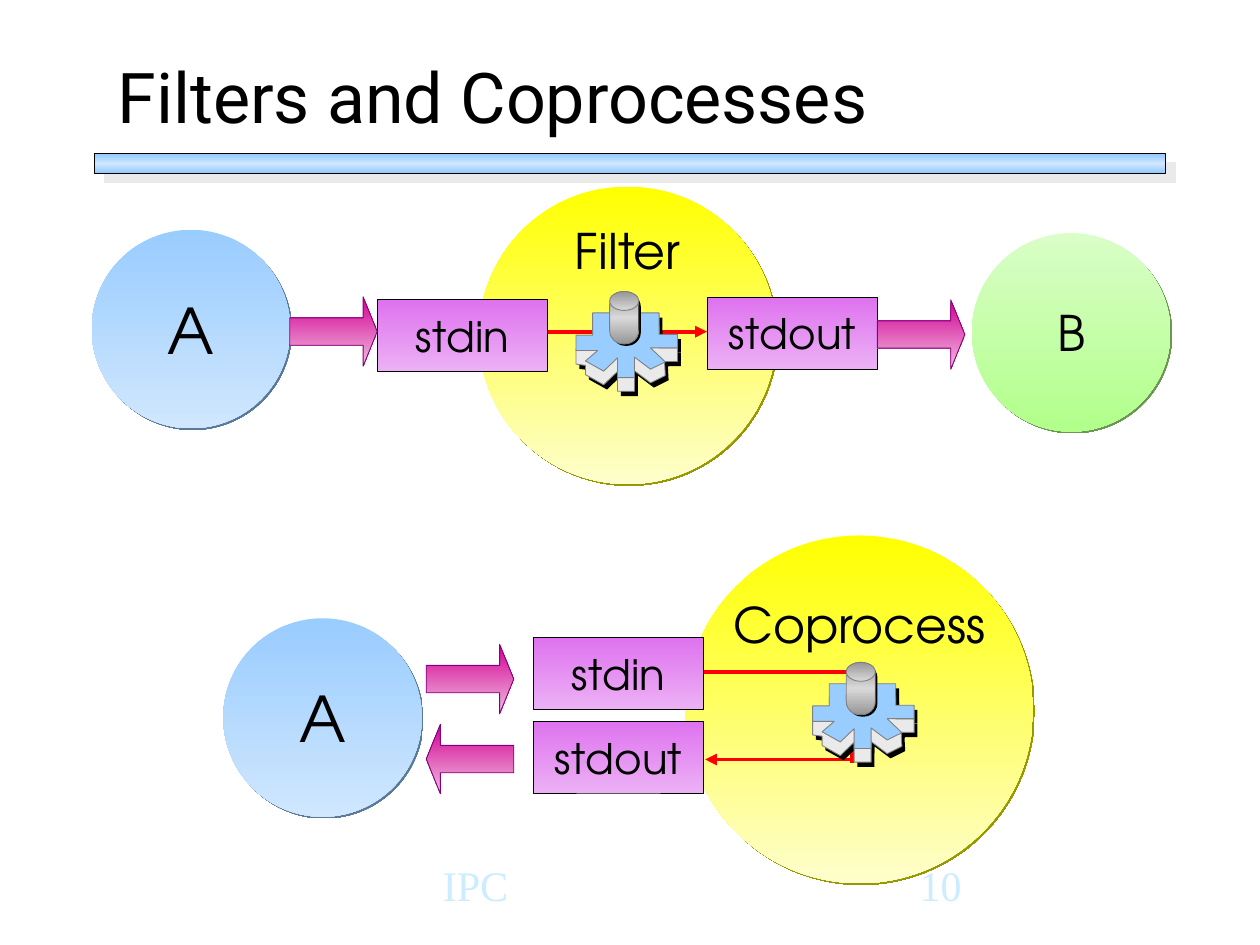
import pptx
import pptx.util
import pptx.dml.color
import pptx.enum.shapes
import pptx.enum.text
import pptx.oxml
import pptx.oxml.ns
from lxml import etree

Pt = pptx.util.Pt
rgb = pptx.dml.color.RGBColor.from_string
qn = pptx.oxml.ns.qn
SHAPE = pptx.enum.shapes.MSO_SHAPE
ANCHOR = pptx.enum.text.MSO_ANCHOR
ALIGN = pptx.enum.text.PP_ALIGN
LABEL_FONT = "TeX Gyre Adventor"


def paint(shape, colors, line=None, width=0.5, shadow=None, angle=270):
    """Fill with one colour or an even gradient; shadow is (colour, distance, degrees)."""
    shape.shadow.inherit = False
    if len(colors) == 1:
        shape.fill.solid()
        shape.fill.fore_color.rgb = rgb(colors[0])
    else:
        shape.fill.gradient()
        shape.fill.gradient_angle = angle
        stops = shape.element.spPr.find(qn("a:gradFill")).find(qn("a:gsLst"))
        for stop in list(stops):
            stops.remove(stop)
        for i, color in enumerate(colors):
            position = str(100000 * i // (len(colors) - 1))
            stop = etree.SubElement(stops, qn("a:gs"), pos=position)
            etree.SubElement(stop, qn("a:srgbClr"), val=color)
    if line:
        shape.line.color.rgb = rgb(line)
        shape.line.width = Pt(width)
    else:
        shape.line.fill.background()
    if shadow:
        color, distance, degrees = shadow
        effects = shape.element.spPr.find(qn("a:effectLst"))
        outer = etree.SubElement(effects, qn("a:outerShdw"), dist=str(Pt(distance)),
                                 dir=str(degrees * 60000), algn="ctr", rotWithShape="0")
        etree.SubElement(outer, qn("a:srgbClr"), val=color)


def write(shape, text, size, font=LABEL_FONT, color="000000", align=ALIGN.CENTER, **frame_format):
    frame = shape.text_frame
    frame.text = text
    settings = {"word_wrap": False, "vertical_anchor": ANCHOR.MIDDLE, "margin_left": Pt(7.2),
                "margin_right": Pt(7.2), "margin_top": Pt(3.6), "margin_bottom": Pt(3.6)}
    for name, value in {**settings, **frame_format}.items():
        setattr(frame, name, value)
    paragraph = frame.paragraphs[0]
    paragraph.alignment = align
    for name, value in {"size": Pt(size), "name": font}.items():
        setattr(paragraph.font, name, value)
    paragraph.font.color.rgb = rgb(color)


deck = pptx.Presentation()
deck.slide_width, deck.slide_height = Pt(720), Pt(540)
slide = deck.slides.add_slide(deck.slide_layouts[5])
shapes = slide.shapes

# Title and the bar below it
title = shapes.title
title.left, title.top, title.width, title.height = Pt(60), Pt(26.6), Pt(527), Pt(55.5)
write(title, "Filters and Coprocesses", 40, "Roboto", align=ALIGN.LEFT,
      word_wrap=True, vertical_anchor=ANCHOR.BOTTOM)
title_bar = shapes.add_shape(SHAPE.RECTANGLE, Pt(54), Pt(87.8), Pt(612), Pt(11.5))
paint(title_bar, ["8FC7FF", "D0E7FE", "8FC7FF"], "000000", 0.75, ("EAEAEA", 7.8, 40))

# Large process circles, named near the top
for name, left, top, diameter, inset in [("Filter", 273.6, 106.6, 170, 0),
                                         ("Coprocess", 391.7, 306, 198.7, 10)]:
    process = shapes.add_shape(SHAPE.OVAL, Pt(left), Pt(top), Pt(diameter), Pt(diameter))
    paint(process, ["FFFF00", "FEFECD"], shadow=("989800", 1.4, 45))
    write(process, name, 28, vertical_anchor=ANCHOR.TOP, margin_top=Pt(inset))
    process.text_frame.paragraphs[0].line_spacing = Pt(28)

# Neighbouring processes
BLUE, GREEN = ["99CCFF", "D0E7FE"], ["D9FEC7", "B2FF8B"]
for name, left, top, size, colors, shade in [("A", 52.4, 131.3, 36, BLUE, "5B7998"),
                                             ("B", 555.4, 133.2, 28, GREEN, "6A9853"),
                                             ("A", 127.6, 353.3, 36, BLUE, "5B7998")]:
    neighbour = shapes.add_shape(SHAPE.OVAL, Pt(left), Pt(top), Pt(113.4), Pt(113.4))
    paint(neighbour, colors, shadow=(shade, 1.4, 45))
    write(neighbour, name, size)

# Standard streams
for name, left, top in [("stdout", 404.2, 169.9), ("stdin", 215.6, 171.2),
                        ("stdout", 304.8, 412.2), ("stdin", 304.9, 364.3)]:
    stream = shapes.add_shape(SHAPE.RECTANGLE, Pt(left), Pt(top), Pt(97.2), Pt(41))
    paint(stream, ["DF72EF", "ECB1F5"], "000000")
    write(stream, name, 24, margin_top=Pt(2.2), margin_bottom=Pt(2.2))

# Block arrows between processes and streams
for kind, left, top in [(SHAPE.RIGHT_ARROW, 165.6, 169.6), (SHAPE.RIGHT_ARROW, 501.4, 171.3),
                        (SHAPE.RIGHT_ARROW, 243.6, 368.2), (SHAPE.LEFT_ARROW, 243.6, 413.9)]:
    flow = shapes.add_shape(kind, Pt(left), Pt(top), Pt(50), Pt(39.7))
    flow.adjustments[0], flow.adjustments[1] = 0.394, 0.203
    paint(flow, ["D20091", "F2BDE2"], "800080")

# Red paths through the processes
for x1, y1, x2, y2, arrow in [(313, 189.5, 404, 189.5, True), (402.5, 384, 486.7, 384, False),
                              (486.7, 434, 403, 434, True), (486.7, 383, 486.7, 436, False)]:
    route = shapes.add_connector(pptx.enum.shapes.MSO_CONNECTOR.STRAIGHT,
                                 Pt(x1), Pt(y1), Pt(x2), Pt(y2))
    route.line.color.rgb = rgb("FF0000")
    route.line.width = Pt(2.25)
    if arrow:
        etree.SubElement(route.line._get_or_add_ln(), qn("a:tailEnd"), type="triangle")
    etree.SubElement(route.element.spPr, qn("a:effectLst"))

# Gears: side and face outlines over their black shadows, then the shaft
FACE = [(9.5, 0), (9.5, 12.7), (0, 12.7), (0, 21.5), (12.4, 21.5), (5.4, 27.5),
        (15.8, 33.3), (23.7, 25.7), (23.7, 37), (33.4, 37), (33.4, 25.3), (42.6, 32.2),
        (51, 28), (42.6, 20), (58, 20), (58, 12.3), (47.5, 12.3), (47.5, 0)]
SIDE = FACE[:4] + [(5.4, 22.2)] + FACE[5:13] + [(50.6, 20)] + FACE[14:]
GRAY, LIGHT = "969696", "D9D9D9"
for gear_x, gear_y in [(329.2, 166.6), (464.4, 378.5)]:
    for outline, dx, dy, color, edge in [(SIDE, 1.9, 22.7, "000000", None),
                                         (FACE, 1.9, 14.9, "000000", None),
                                         (SIDE, 0, 20, "EAEAEA", "808080"),
                                         (FACE, 0, 12.2, "99CCFF", "808080")]:
        points = [(Pt(gear_x + dx + x), Pt(gear_y + dy + y)) for x, y in outline]
        builder = shapes.build_freeform(*points[0])
        builder.add_line_segments(points[1:], close=True)
        paint(builder.convert_to_shape(), [color], edge)
    for kind, dx, dy, height, colors, edge in [
            (SHAPE.ROUNDED_RECTANGLE, 20.4, 1.1, 29.9, ["000000"], None),
            (SHAPE.ROUNDED_RECTANGLE, 19.2, 0, 29.9, [GRAY, LIGHT, GRAY], "808080"),
            (SHAPE.OVAL, 19.2, 0, 10.8, [LIGHT, GRAY], "808080")]:
        shaft = shapes.add_shape(kind, Pt(gear_x + dx), Pt(gear_y + dy), Pt(16.6), Pt(height))
        if kind == SHAPE.ROUNDED_RECTANGLE:
            shaft.adjustments[0] = 0.46
        paint(shaft, colors, edge, angle=90)

# Footer
for text, left, width in [("IPC", 246, 150), ("10", 518.4, 150)]:
    footer = shapes.add_textbox(Pt(left), Pt(490.3), Pt(width), Pt(36))
    write(footer, text, 24, "Times New Roman", "CCECFF", ALIGN.LEFT,
          word_wrap=True, vertical_anchor=ANCHOR.TOP)
    footer.text_frame.paragraphs[0].line_spacing = 0.93

deck.save("out.pptx")
